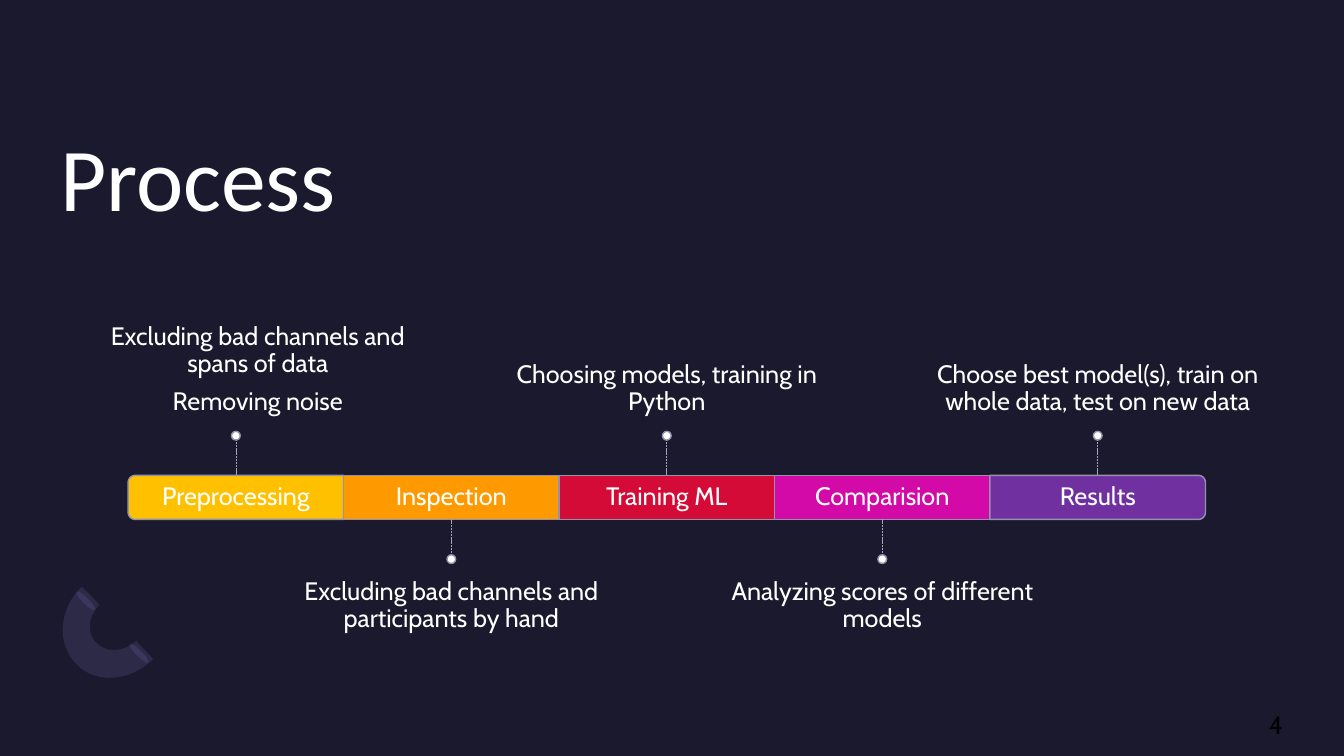
"""Build the process timeline slide: five steps with alternating captions."""
from dataclasses import dataclass

from lxml.etree import SubElement
from pptx import Presentation
from pptx.dml.color import RGBColor
from pptx.enum.dml import MSO_LINE
from pptx.enum.shapes import MSO_CONNECTOR, MSO_SHAPE
from pptx.enum.text import MSO_ANCHOR, MSO_AUTO_SIZE, PP_ALIGN
from pptx.oxml.ns import qn
from pptx.shapes.autoshape import Shape
from pptx.shapes.connector import Connector
from pptx.slide import Slide
from pptx.text.text import TextFrame
from pptx.util import Cm, Pt

Point = tuple[float, float]


@dataclass(frozen=True)
class Theme:
    """Colours, fonts and type sizes of the slide."""
    background: str = "1B192E"
    text: str = "FFFFFF"
    outline: str = "9393AF"
    stem: str = "A3A3C1"
    crescent: str = "7771B2"
    crescent_tip: str = "2C284A"
    page_number: str = "000000"
    heading_font: str = "Calibri"
    body_font: str = "Cabin"
    heading_size: int = 64
    body_size: int = 18


@dataclass(frozen=True)
class Step:
    """One coloured step of the bar with its caption."""
    label: str
    colour: str
    caption: tuple[str, ...]
    caption_shift: float = 0
    caption_width: float = 9.07


THEME = Theme()
STEPS = (
    Step("Preprocessing", "FFC000",
         ("Excluding bad channels and spans of data", "Removing noise"), 0.55, 7.92),
    Step("Inspection", "FF9900", ("Excluding bad channels and participants by hand",)),
    Step("Training ML", "D40B36", ("Choosing models, training in Python",)),
    Step("Comparision", "D40AA8", ("Analyzing scores of different models",)),
    Step("Results", "7030A0",
         ("Choose best model(s), train on whole data, test on new data",)),
)
BAR_LEFT, BAR_TOP, STEP_WIDTH, BAR_HEIGHT = 3.23, 11.98, 5.43, 1.11
CORNER, STEM, DOT, CAPTION_HEIGHT, INSET = 0.18, 0.89, 0.22, 3.86, 0.38
TIP_CENTRES = ((3.5, 16.46), (2.16, 15.14))


def rgb(colour: str) -> RGBColor:
    """Return the colour for a hexadecimal string."""
    return RGBColor.from_string(colour)


def curve(start: Point, pull: Point, push: Point, end: Point) -> list[Point]:
    """Return points along a cubic curve."""
    points = []
    for step in range(17):
        t = step / 16
        weights = ((1 - t) ** 3, 3 * t * (1 - t) ** 2, 3 * t * t * (1 - t), t ** 3)
        corners = (start, pull, push, end)
        points.append((sum(w * c[0] for w, c in zip(weights, corners)),
                       sum(w * c[1] for w, c in zip(weights, corners))))
    return points


def paint(shape: Shape, fill: str, outline: str | None = None) -> None:
    """Fill and outline a shape without a shadow."""
    shape.shadow.inherit = False
    shape.fill.solid()
    shape.fill.fore_color.rgb = rgb(fill)
    if outline is None:
        shape.line.fill.background()
    else:
        shape.line.color.rgb = rgb(outline)
        shape.line.width = Pt(1)


def add_outline(slide: Slide, points: list[Point]) -> Shape:
    """Draw a closed outline through points given in centimetres."""
    corners = [(Cm(x), Cm(y)) for x, y in points]
    builder = slide.shapes.build_freeform(*corners[0])
    builder.add_line_segments(corners[1:], close=True)
    return builder.convert_to_shape()


def add_oval(slide: Slide, centre: Point, width: float, height: float) -> Shape:
    """Draw an oval around its centre."""
    return slide.shapes.add_shape(
        MSO_SHAPE.OVAL, Cm(centre[0] - width / 2), Cm(centre[1] - height / 2),
        Cm(width), Cm(height))


def write(frame: TextFrame, lines: tuple[str, ...], anchor: MSO_ANCHOR,
          margins: tuple[float, float, float, float],
          align: PP_ALIGN = PP_ALIGN.CENTER, colour: str = THEME.text,
          font: str = THEME.body_font, size: int = THEME.body_size,
          after: int = 8) -> None:
    """Write formatted paragraphs; margins run left, top, right, bottom."""
    frame.word_wrap = True
    frame.auto_size = MSO_AUTO_SIZE.NONE
    frame.vertical_anchor = anchor
    (frame.margin_left, frame.margin_top,
     frame.margin_right, frame.margin_bottom) = map(Cm, margins)
    frame.text = "\n".join(lines)
    for paragraph in frame.paragraphs:
        paragraph.alignment = align
        paragraph.line_spacing = 0.9
        paragraph.space_before = Pt(0)
        paragraph.space_after = Pt(after)
        paragraph.font.name = font
        paragraph.font.size = Pt(size)
        paragraph.font.color.rgb = rgb(colour)


def add_crescent(slide: Slide) -> None:
    """Draw the translucent crescent and its two tips."""
    for centre in TIP_CENTRES:
        tip = add_oval(slide, centre, 0.15, 0.66)
        tip.rotation = 135
        paint(tip, THEME.crescent_tip)
    crescent = add_outline(slide, [
        *curve((1.93, 16.74), (1.42, 16.23), (1.47, 15.37), (2.06, 14.78)),
        *curve((2.51, 15.24), (2.21, 15.52), (2.18, 15.98), (2.44, 16.21)),
        *curve((2.44, 16.21), (2.69, 16.46), (3.12, 16.43), (3.43, 16.15)),
        *curve((3.86, 16.61), (3.3, 17.17), (2.41, 17.25), (1.93, 16.74)),
    ])
    paint(crescent, THEME.crescent)
    tint = crescent.fill._xPr.find(qn("a:solidFill"))[0]
    SubElement(tint, qn("a:alpha")).set("val", "20000")


def add_bar_end(slide: Slide, outer: float, inner: float) -> Shape:
    """Draw an end of the bar with rounded corners on its outer side."""
    radius = CORNER if inner > outer else -CORNER
    bottom = BAR_TOP + BAR_HEIGHT
    near = outer + 0.45 * radius
    return add_outline(slide, [
        (inner, BAR_TOP),
        *curve((outer + radius, BAR_TOP), (near, BAR_TOP),
               (outer, BAR_TOP + 0.45 * CORNER), (outer, BAR_TOP + CORNER)),
        *curve((outer, bottom - CORNER), (outer, bottom - 0.45 * CORNER),
               (near, bottom), (outer + radius, bottom)),
        (inner, bottom),
    ])


def add_stem(slide: Slide, x: float, start: float, end: float) -> Connector:
    """Draw a dashed vertical line from the bar to a dot."""
    stem = slide.shapes.add_connector(
        MSO_CONNECTOR.STRAIGHT, Cm(x), Cm(start), Cm(x), Cm(end))
    stem.line.color.rgb = rgb(THEME.stem)
    stem.line.width = Pt(0.5)
    stem.line.dash_style = MSO_LINE.SQUARE_DOT
    SubElement(stem._element.spPr, qn("a:effectLst"))
    return stem


def add_step(slide: Slide, index: int, step: Step) -> None:
    """Draw a step of the bar, its stem, its dot and its caption."""
    left = BAR_LEFT + index * STEP_WIDTH
    right, centre = left + STEP_WIDTH, left + STEP_WIDTH / 2
    above = index % 2 == 0
    direction = -1 if above else 1
    edge = BAR_TOP if above else BAR_TOP + BAR_HEIGHT
    inner = 0 < index < len(STEPS) - 1
    if inner:
        segment = slide.shapes.add_shape(
            MSO_SHAPE.RECTANGLE, Cm(left), Cm(BAR_TOP), Cm(STEP_WIDTH), Cm(BAR_HEIGHT))
    else:
        segment = add_bar_end(slide, *((left, right) if index == 0 else (right, left)))
    paint(segment, step.colour, THEME.outline)
    write(segment.text_frame, (step.label,), MSO_ANCHOR.MIDDLE, (INSET,) * 4)

    stem = add_stem(slide, centre, edge, edge + direction * STEM)
    if inner:
        stem.begin_connect(segment, 0 if above else 2)
    dot = add_oval(slide, (centre, edge + direction * (STEM + DOT / 2)), DOT, DOT)
    paint(dot, THEME.text, THEME.outline)

    near = edge + direction * (STEM + DOT)
    caption = slide.shapes.add_textbox(
        Cm(centre + step.caption_shift - step.caption_width / 2),
        Cm(near - CAPTION_HEIGHT if above else near),
        Cm(step.caption_width), Cm(CAPTION_HEIGHT))
    write(caption.text_frame, step.caption,
          MSO_ANCHOR.BOTTOM if above else MSO_ANCHOR.TOP,
          (0, 0, 0, INSET) if above else (0, INSET, 0, 0))


def main() -> None:
    """Build the slide and save it."""
    deck = Presentation()
    deck.slide_width, deck.slide_height = Cm(33.87), Cm(19.05)
    slide = deck.slides.add_slide(deck.slide_layouts[5])
    slide.background.fill.solid()
    slide.background.fill.fore_color.rgb = rgb(THEME.background)
    add_crescent(slide)

    heading = slide.shapes.title
    heading.left, heading.top = Cm(1.52), Cm(1.52)
    heading.width, heading.height = Cm(30.81), Cm(3.71)
    write(heading.text_frame, ("Process",), MSO_ANCHOR.TOP, (0, 1.85, 0, 0),
          PP_ALIGN.LEFT, font=THEME.heading_font, size=THEME.heading_size, after=0)

    for index, step in enumerate(STEPS):
        add_step(slide, index, step)

    page_number = slide.shapes.add_textbox(Cm(30.3), Cm(17.81), Cm(2.03), Cm(1))
    write(page_number.text_frame, ("4",), MSO_ANCHOR.MIDDLE, (0, 0, 0, 0),
          PP_ALIGN.RIGHT, THEME.page_number, after=0)
    deck.save("out.pptx")


if __name__ == "__main__":
    main()
